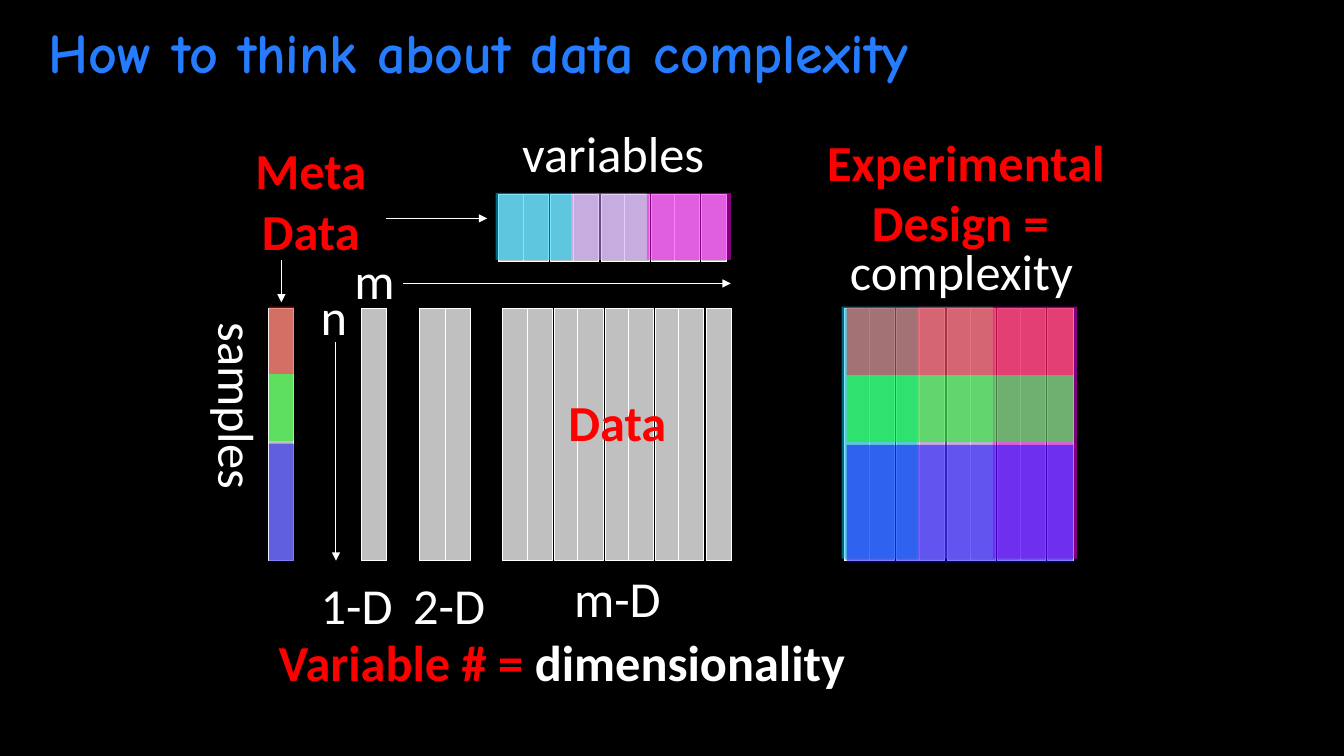
from dataclasses import dataclass
from itertools import accumulate

from lxml.etree import SubElement
from pptx import Presentation
from pptx.dml.color import RGBColor
from pptx.enum.shapes import MSO_CONNECTOR as Connector, MSO_SHAPE as Shape
from pptx.enum.text import MSO_ANCHOR as Anchor, MSO_AUTO_SIZE as AutoSize, PP_ALIGN as Align
from pptx.oxml.ns import qn
from pptx.util import Inches, Pt

GRID_COLUMNS, GRID_ROWS = 160, 90
LINE_ROWS = 8.4
COLUMN = 3
VARIABLES = 9
GROUP_WIDTHS = (9, 9, 10)
SAMPLE_HEIGHTS = (8, 8, 14)
SAMPLE_OFFSETS = (0, 8, 16.3)


@dataclass(frozen=True)
class Theme:
    """Colours, fonts and sizes of the slide."""
    background: str = "000000"
    title: str = "257CFF"
    text: str = "FFFFFF"
    accent: str = "FF0000"
    column: str = "C0C0C0"
    groups: tuple = ("00CCFF", "CC99FF", "FF00FF")
    samples: tuple = ("E7200B", "00FF00", "0000FF")
    title_font: str = "Comic Neue"
    body_font: str = "Calibri"
    title_size: int = 40
    body_size: int = 36
    line_width: float = 0.75


@dataclass(frozen=True)
class Box:
    """A rectangle in grid columns and rows."""
    left: float
    top: float
    width: float
    height: float

    def within(self, left, top, width, height):
        """Return a box placed relative to this one."""
        return Box(self.left + left, self.top + top, width, height)

    def lengths(self):
        """Return left, top, width and height for a shape."""
        return [grid(value) for value in (self.left, self.top, self.width, self.height)]


THEME = Theme()


def grid(cells):
    """Turn grid cells, twelve to the inch, into a length."""
    return Inches(cells / 12)


def add_run(paragraph, text, colour, bold=False, font=THEME.body_font, size=THEME.body_size):
    """Append one formatted run."""
    run = paragraph.add_run()
    run.text = text
    run.font.name, run.font.size, run.font.bold = font, Pt(size), bold
    run.font.color.rgb = RGBColor.from_string(colour)


def add_label(slide, box, *runs, align=Align.CENTER, spacing=None, vertical=False):
    """Add a label of (text, colour, bold) runs."""
    label = slide.shapes.add_textbox(*box.lengths())
    frame = label.text_frame
    frame.word_wrap = True
    frame.auto_size = AutoSize.SHAPE_TO_FIT_TEXT
    if vertical:
        label.element.txBody.find(qn("a:bodyPr")).set("vert", "eaVert")
    paragraph = frame.paragraphs[0]
    paragraph.alignment = align
    if spacing:
        paragraph.line_spacing = spacing
    for run in runs:
        add_run(paragraph, *run)


def add_arrow(slide, start, end):
    """Add a thin arrow between two grid points."""
    arrow = slide.shapes.add_connector(Connector.STRAIGHT, *map(grid, start + end))
    arrow.line.color.rgb = RGBColor.from_string(THEME.text)
    arrow.line.width = Pt(THEME.line_width)
    SubElement(arrow.element.spPr.find(qn("a:ln")), qn("a:tailEnd"), type="triangle")
    SubElement(arrow.element.spPr, qn("a:effectLst"))


def add_block(slide, box, colour):
    """Add a filled rectangle without shadow."""
    block = slide.shapes.add_shape(Shape.RECTANGLE, *box.lengths())
    block.shadow.inherit = False
    block.fill.solid()
    block.fill.fore_color.rgb = RGBColor.from_string(colour)
    return block


def add_columns(slide, box, count):
    """Add outlined columns, with a slight gap before each later pair."""
    for index in range(count):
        gap = 0.25 if index and index % 2 == 0 else 0
        column = add_block(slide, box.within(index * COLUMN + gap, 0, COLUMN, box.height), THEME.column)
        column.line.color.rgb = RGBColor.from_string(THEME.text)
        column.line.width = Pt(THEME.line_width)


def add_tint(slide, box, colour):
    """Add a half-transparent block."""
    tint = add_block(slide, box, colour)
    tint.line.fill.background()
    solid = tint.element.spPr.find(qn("a:solidFill"))
    SubElement(solid[0], qn("a:alpha"), val="50000")


def add_group_tints(slide, box):
    """Tint the variable groups from left to right."""
    offsets = accumulate(GROUP_WIDTHS, initial=0)
    for offset, width, colour in zip(offsets, GROUP_WIDTHS, THEME.groups):
        add_tint(slide, box.within(offset, 0, width, box.height), colour)


def add_sample_tints(slide, box):
    """Tint the sample groups from top to bottom."""
    for offset, height, colour in zip(SAMPLE_OFFSETS, SAMPLE_HEIGHTS, THEME.samples):
        add_tint(slide, box.within(0, offset, box.width, height), colour)


def build_title(slide, box):
    """Format and place the slide title."""
    title = slide.shapes.title
    title.left, title.top, title.width, title.height = box.lengths()
    frame = title.text_frame
    frame.word_wrap = True
    frame.auto_size = AutoSize.NONE
    frame.vertical_anchor = Anchor.BOTTOM
    frame.margin_left = grid(5.8)
    paragraph = frame.paragraphs[0]
    paragraph.alignment = Align.LEFT
    paragraph.line_spacing = 0.9
    add_run(paragraph, "How to think about data complexity", THEME.title, True,
            THEME.title_font, THEME.title_size)


def build_data(slide, box):
    """Build the one-, two- and m-dimensional data with its axes."""
    for left, count in ((0, 1), (7, 2), (16.8, VARIABLES)):
        add_columns(slide, box.within(left, 0, count * COLUMN, box.height), count)
    for text, left, top, width in (("n", -6, -3.4, 6), ("m", -2, -7.7, 7),
                                   ("1-D", -6, 31, 12), ("2-D", 5, 31, 12)):
        add_label(slide, box.within(left, top, width, LINE_ROWS), (text, THEME.text), align=Align.LEFT)
    add_label(slide, box.within(17, 30.2, 27, LINE_ROWS), ("m-D", THEME.text))
    add_label(slide, box.within(20, 9.2, 21, LINE_ROWS), ("Data", THEME.accent, True))
    add_arrow(slide, (box.left - 3, box.top + 4), (box.left - 3, box.top + box.height))
    add_arrow(slide, (box.left + 5, box.top - 3), (box.left + box.width, box.top - 3))


def build_samples(slide, box):
    """Build the sample strip and its vertical label."""
    add_label(slide, box.within(-9.1, 0.45, 9.7, 28.8), ("samples", THEME.text), vertical=True)
    add_columns(slide, box, 1)
    add_sample_tints(slide, box.within(0, -0.25, box.width, box.height))


def build_variables(slide, box):
    """Build the variable strip and its label."""
    add_label(slide, box.within(-0.3, -9.1, 28, LINE_ROWS), ("variables", THEME.text))
    add_columns(slide, box, VARIABLES)
    add_group_tints(slide, box.within(-0.3, -0.15, box.width, box.height))


def build_design(slide, box):
    """Build the experimental design, where both groupings cross."""
    add_label(slide, box.within(-0.5, -8.7, 30, LINE_ROWS), ("complexity", THEME.text), align=Align.LEFT)
    add_columns(slide, box, VARIABLES)
    add_group_tints(slide, box.within(-0.3, -0.25, box.width, box.height))
    add_sample_tints(slide, box.within(0.3, -0.1, box.width, box.height))
    add_label(slide, box.within(-5.5, -21.75, 40, 15.6), ("Experimental Design = ", THEME.accent, True))


def build_meta(slide, box):
    """Build the metadata heading and its two arrows."""
    add_label(slide, box, ("Meta Data", THEME.accent, True))
    add_arrow(slide, (box.left + 20, box.top + 10), (box.left + 32, box.top + 10))
    add_arrow(slide, (box.left + 7.5, box.top + 15), (box.left + 7.5, box.top + 20))


def build_conclusion(slide, box):
    """Write the closing statement."""
    add_label(slide, box, ("Variable # = ", THEME.accent, True),
              ("dimensionality", THEME.text, True), spacing=0.4)


def main():
    """Build and save the slide."""
    deck = Presentation()
    deck.slide_width, deck.slide_height = grid(GRID_COLUMNS), grid(GRID_ROWS)
    slide = deck.slides.add_slide(deck.slide_layouts[5])
    slide.background.fill.solid()
    slide.background.fill.fore_color.rgb = RGBColor.from_string(THEME.background)
    build_title(slide, Box(0, -0.25, 135, 11))
    build_data(slide, Box(43, 36.75, 44, 30))
    build_samples(slide, Box(32, 36.75, COLUMN, 30))
    build_variables(slide, Box(59.3, 23.1, 27, 8))
    build_design(slide, Box(100.5, 36.75, 27, 30))
    build_meta(slide, Box(26, 16, 22, 15.6))
    build_conclusion(slide, Box(27, 78.25, 79.8, 4.9))
    deck.save("out.pptx")


if __name__ == "__main__":
    main()
